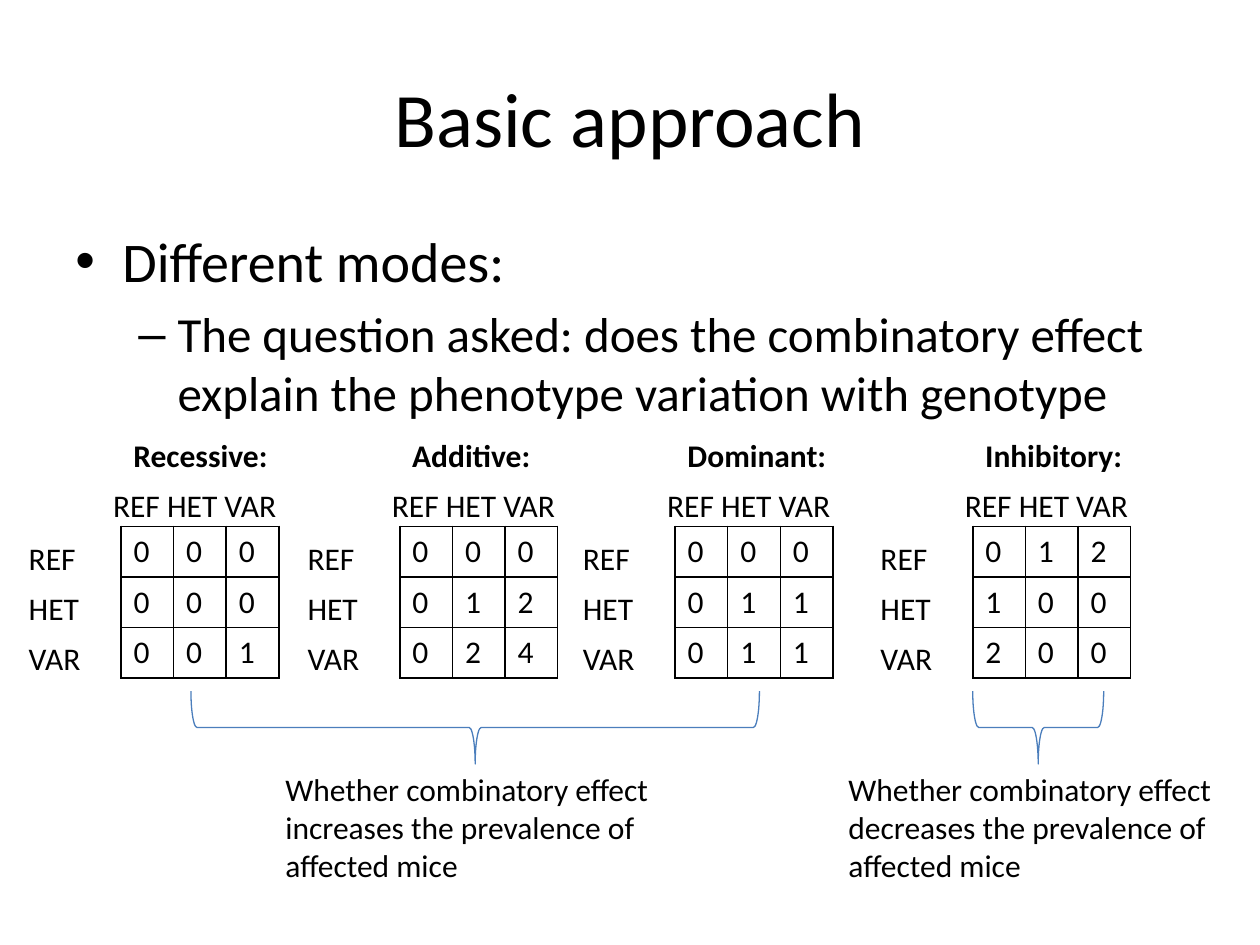
from lxml import etree
from pptx import Presentation
from pptx.dml.color import RGBColor
from pptx.enum import shapes, text
from pptx.oxml import ns
from pptx.util import Cm, Pt

BLACK, BLUE = "000000", "4B7EBC"
GENOTYPES = ("REF", "HET", "VAR")
CELL_WIDTH, ROW_HEIGHT = 1.06, 1.02
MODES_TOP = 8.66

# Heading, left edge of the table, cell values
MODES = [
    ("Recessive:", 2.44, ("000", "000", "001")),
    ("Additive:", 8.06, ("000", "012", "024")),
    ("Dominant:", 13.61, ("000", "011", "011")),
    ("Inhibitory:", 19.61, ("012", "100", "200")),
]
# Left edge and width of each brace, with its note
BRACES = [
    (3.85, 11.46, "Whether combinatory effect increases the prevalence of affected mice"),
    (19.61, 2.64, "Whether combinatory effect decreases the prevalence of affected mice"),
]
# Text, size, left margin, bullet
BULLETS = [
    ("Different modes:", 32, 0.95, 0.95, "•"),
    ("The question asked: does the combinatory effect explain the "
     "phenotype variation with genotype", 28, 2.06, 0.79, "–"),
]


def color(value):
    return RGBColor.from_string(value)


def write(para, words, **formats):
    span = para.add_run()
    span.text = words
    span.font.color.rgb = color(BLACK)
    for name, value in ({"name": "Calibri", "size": Pt(18)} | formats).items():
        setattr(span.font, name, value)


def add_text(page, words, left, top, width, height=1.02, **formats):
    box = page.shapes.add_textbox(Cm(left), Cm(top), Cm(width), Cm(height))
    box.text_frame.word_wrap = True
    write(box.text_frame.paragraphs[0], words, **formats)
    return box.text_frame


def add_title(page, left, top, width, height):
    frame = add_text(page, "Basic approach", left, top, width, height, size=Pt(44))
    frame.vertical_anchor = text.MSO_ANCHOR.MIDDLE
    frame.paragraphs[0].alignment = text.PP_ALIGN.CENTER


def add_bullets(page, left, top, width, height):
    box = page.shapes.add_textbox(Cm(left), Cm(top), Cm(width), Cm(height))
    frame = box.text_frame
    frame.word_wrap = True
    for index, (words, size, margin, hanging, mark) in enumerate(BULLETS):
        para = frame.add_paragraph() if index else frame.paragraphs[0]
        para.level = index
        para.space_before = Pt(size * 0.2)
        write(para, words, size=Pt(size))
        props = para._p.get_or_add_pPr()
        props.set("marL", str(Cm(margin)))
        props.set("indent", str(-Cm(hanging)))
        etree.SubElement(props, ns.qn("a:buFont"), typeface="Arial")
        etree.SubElement(props, ns.qn("a:buChar"), char=mark)


def add_borders(cell):
    props = cell._tc.get_or_add_tcPr()
    for index, side in enumerate(("lnL", "lnR", "lnT", "lnB")):
        line = etree.Element(ns.qn("a:" + side), w=str(Pt(1)))
        fill = etree.SubElement(line, ns.qn("a:solidFill"))
        etree.SubElement(fill, ns.qn("a:srgbClr"), val=BLACK)
        props.insert(index, line)


def add_mode(page, heading, left, top, rows):
    # Heading and genotype labels
    add_text(page, heading, left, top, 3.6, bold=True)
    add_text(page, " ".join(GENOTYPES), left - 0.41, top + 1.02, 4.1)
    for index, genotype in enumerate(GENOTYPES):
        add_text(page, genotype, left - 2.11, top + 2.09 + index, 1.75)

    # Table of combined effects
    count = len(GENOTYPES)
    table = page.shapes.add_table(
        count, count, Cm(left), Cm(top + 1.95),
        Cm(count * CELL_WIDTH), Cm(count * ROW_HEIGHT)).table
    table.first_row = table.horz_banding = False
    for column in table.columns:
        column.width = Cm(CELL_WIDTH)
    for row, values in zip(table.rows, rows):
        row.height = Cm(ROW_HEIGHT)
        for cell, value in zip(row.cells, values):
            cell.fill.background()
            add_borders(cell)
            write(cell.text_frame.paragraphs[0], value)


def add_brace(page, left, top, width, note, height=1.47, note_width=8.15):
    # The brace is turned a quarter, so its box is placed around the same centre
    center = left + width / 2
    brace = page.shapes.add_shape(
        shapes.MSO_SHAPE.LEFT_BRACE, Cm(center - height / 2),
        Cm(top + (height - width) / 2), Cm(height), Cm(width))
    brace.rotation = 270
    brace.shadow.inherit = False
    brace.fill.background()
    brace.line.color.rgb = color(BLUE)
    brace.line.width = Pt(0.75)
    add_text(page, note, center - note_width / 2, top + height, note_width, 2.57)


def main():
    deck = Presentation()
    deck.slide_width, deck.slide_height = Cm(25.4), Cm(19.05)
    page = deck.slides.add_slide(deck.slide_layouts[6])
    add_title(page, 1.27, 0.76, 22.86, 3.18)
    add_bullets(page, 1.27, 4.45, 22.86, 4.65)
    for heading, left, rows in MODES:
        add_mode(page, heading, left, MODES_TOP, rows)
    for left, width, note in BRACES:
        add_brace(page, left, 13.93, width, note)
    deck.save("out.pptx")


if __name__ == "__main__":
    main()
